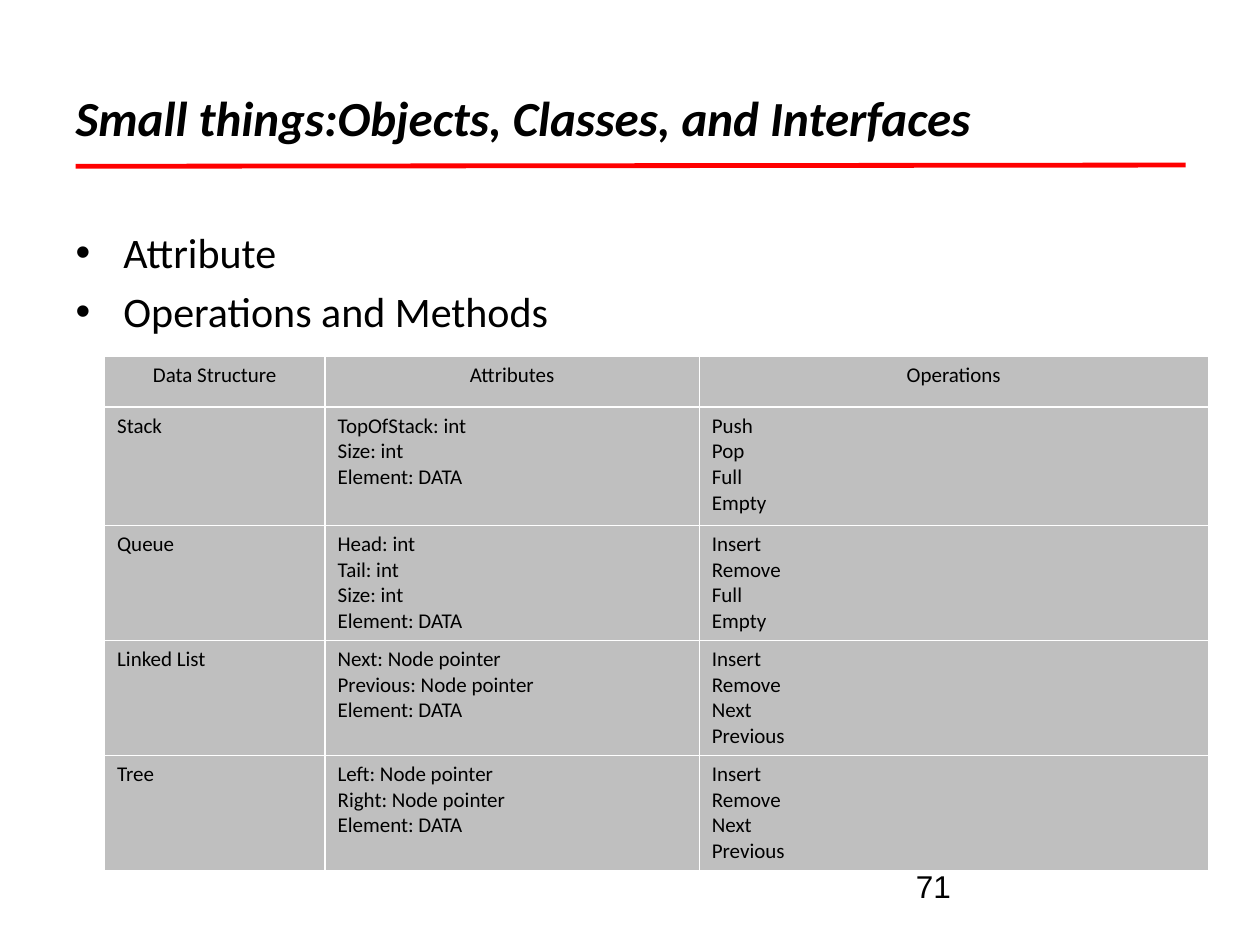
from lxml.etree import SubElement
from pptx import Presentation
from pptx.dml.color import RGBColor
from pptx.enum.shapes import MSO_CONNECTOR
from pptx.enum.text import MSO_ANCHOR, MSO_AUTO_SIZE, PP_ALIGN
from pptx.oxml.ns import qn
from pptx.util import Inches, Pt

BLACK, WHITE, RED, GREY = "000000", "FFFFFF", "FF0000", "BFBFBF"


def color(hex_value):
    return RGBColor.from_string(hex_value)


def set_all(target, values):
    for name, value in values.items():
        setattr(target, name, value)


class SlideBuilder:
    title_font = {"name": "Calibri", "size": Pt(28), "bold": True, "italic": True}
    list_font = {"name": "Calibri", "size": Pt(24)}
    table_font = {"name": "Calibri", "size": Pt(12)}
    number_font = {"name": "Arial", "size": Pt(18)}

    def __init__(self, slide):
        self.slide = slide

    def style(self, paragraph, font, align=PP_ALIGN.LEFT):
        paragraph.alignment = align
        set_all(paragraph.font, font)
        paragraph.font.color.rgb = color(BLACK)

    def place(self, shape, left, top, width, height, anchor):
        set_all(shape, {"left": Inches(left), "top": Inches(top),
                        "width": Inches(width), "height": Inches(height)})
        set_all(shape.text_frame, {"word_wrap": True, "vertical_anchor": anchor,
                                   "auto_size": MSO_AUTO_SIZE.NONE})

    def title(self, text, *box):
        heading = self.slide.shapes.title
        self.place(heading, *box, MSO_ANCHOR.MIDDLE)
        heading.text_frame.text = text
        self.style(heading.text_frame.paragraphs[0], self.title_font)

    def bullets(self, items, *box):
        body = self.slide.placeholders[1]
        self.place(body, *box, MSO_ANCHOR.TOP)
        body.text_frame.text = "\n".join(items)
        for index, paragraph in enumerate(body.text_frame.paragraphs):
            properties = paragraph._p.get_or_add_pPr()
            properties.set("marL", str(Inches(0.38)))
            properties.set("indent", str(-Inches(0.38)))
            SubElement(properties, qn("a:buFont"), typeface="Arial")
            SubElement(properties, qn("a:buChar"), char="•")
            paragraph.space_before = Pt(4.8 if index else 0)
            self.style(paragraph, self.list_font)

    def text(self, text, left, top, width, height):
        box = self.slide.shapes.add_textbox(0, 0, 0, 0)
        self.place(box, left, top, width, height, MSO_ANCHOR.TOP)
        box.text_frame.text = text
        self.style(box.text_frame.paragraphs[0], self.number_font)

    def rule(self, *ends):
        line = self.slide.shapes.add_connector(MSO_CONNECTOR.STRAIGHT, *map(Inches, ends))
        line.line.color.rgb = color(RED)
        line.line.width = Pt(2.75)
        SubElement(line._element.spPr, qn("a:effectLst"))

    def cell_borders(self, cell):
        properties = cell._tc.get_or_add_tcPr()
        for side in ("lnL", "lnR", "lnT", "lnB"):
            border = SubElement(properties, qn(f"a:{side}"), w=str(Pt(1)))
            fill = SubElement(border, qn("a:solidFill"))
            SubElement(fill, qn("a:srgbClr"), val=WHITE)

    def table(self, rows, left, top, widths, heights):
        grid = self.slide.shapes.add_table(
            len(heights), len(widths), Inches(left), Inches(top),
            Inches(sum(widths)), Inches(sum(heights))).table
        set_all(grid, {"first_row": False, "horz_banding": False})
        for column, width in zip(grid.columns, widths):
            column.width = Inches(width)
        for row_index, (row, height) in enumerate(zip(rows, heights)):
            grid.rows[row_index].height = Inches(height)
            align = PP_ALIGN.LEFT if row_index else PP_ALIGN.CENTER
            for column_index, lines in enumerate(row):
                cell = grid.cell(row_index, column_index)
                self.cell_borders(cell)
                cell.fill.solid()
                cell.fill.fore_color.rgb = color(GREY)
                cell.text_frame.text = lines
                for paragraph in cell.text_frame.paragraphs:
                    self.style(paragraph, self.table_font, align)


DATA_STRUCTURES = [
    ("Data Structure", "Attributes", "Operations"),
    ("Stack", "TopOfStack: int\nSize: int\nElement: DATA", "Push\nPop\nFull\nEmpty"),
    ("Queue", "Head: int\nTail: int\nSize: int\nElement: DATA",
     "Insert\nRemove\nFull\nEmpty"),
    ("Linked List", "Next: Node pointer\nPrevious: Node pointer\nElement: DATA",
     "Insert\nRemove\nNext\nPrevious"),
    ("Tree", "Left: Node pointer\nRight: Node pointer\nElement: DATA",
     "Insert\nRemove\nNext\nPrevious"),
]


def main():
    presentation = Presentation()
    presentation.slide_width, presentation.slide_height = Inches(10), Inches(7.5)
    builder = SlideBuilder(presentation.slides.add_slide(presentation.slide_layouts[1]))

    # Heading and bullet list
    builder.title("Small things:Objects, Classes, and Interfaces", 0.5, 0.3, 9, 1.25)
    builder.bullets(["Attribute", "Operations and Methods"], 0.5, 1.75, 9, 4.95)

    # Slide number and red rule under the heading
    builder.text("71", 7.17, 6.83, 2.33, 0.52)
    builder.rule(0.6, 1.32, 9.41, 1.31)

    # Table of data structures
    builder.table(DATA_STRUCTURES, 0.83, 2.83,
                  [1.75, 2.97, 4.04], [0.4, 0.94] + [0.9] * 3)

    presentation.save("out.pptx")


if __name__ == "__main__":
    main()
